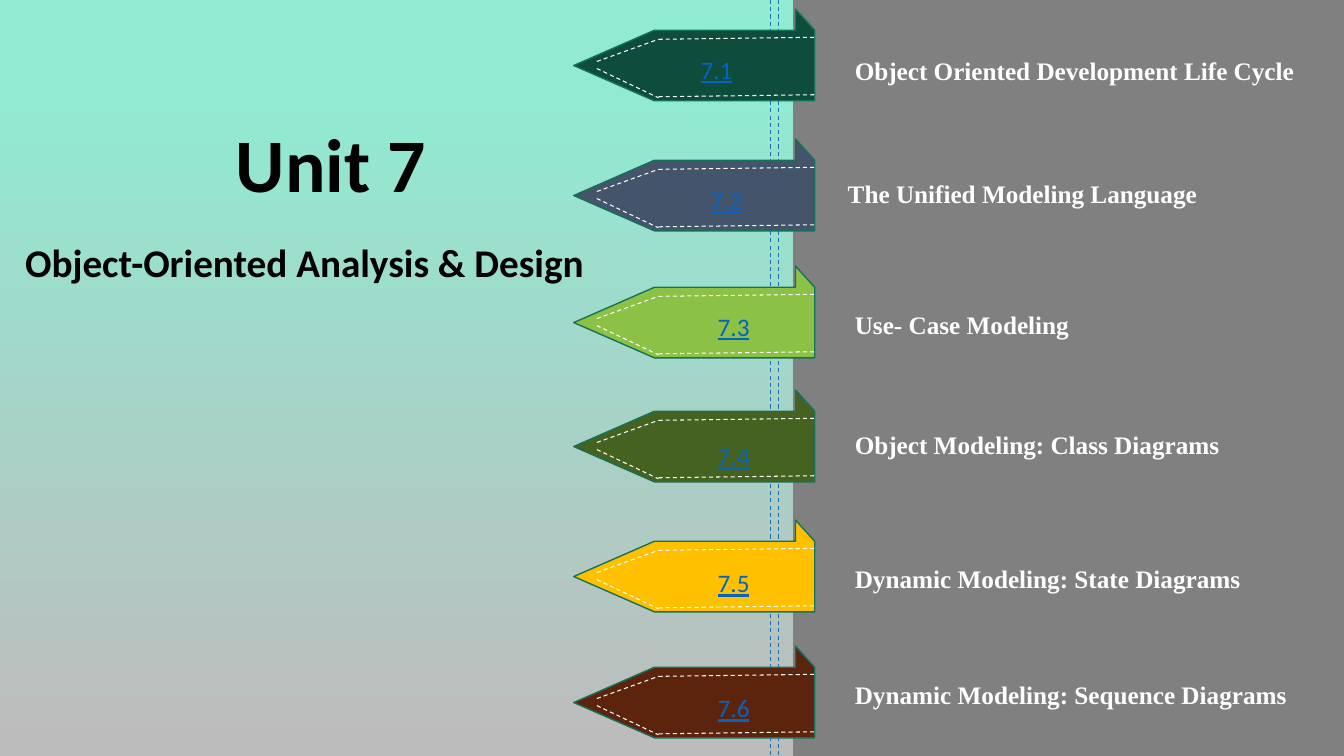
from pptx import Presentation
from pptx.dml.color import RGBColor
from pptx.enum.dml import MSO_LINE
from pptx.enum.shapes import MSO_CONNECTOR, MSO_SHAPE
from pptx.enum.text import MSO_AUTO_SIZE
from pptx.oxml.ns import qn
from pptx.util import Inches, Pt
from lxml.etree import SubElement

LEFT = 5.69
OUTLINE = [(2.2, 0), (2.39, 0.21), (2.39, 0.91), (0.8, 0.91),
           (0, 0.56), (0.8, 0.21), (2.2, 0.21)]
SEAMS = [(0.84, 0.3, 2.39, 0.28), (0.84, 0.87, 2.39, 0.85),
         (0.23, 0.52, 0.84, 0.3), (0.23, 0.59, 0.84, 0.88)]
TOPICS = [
    (0.09, "0E4D3C", "7.1", 6.85, 0.49,
     "Object Oriented Development Life Cycle", 8.38, 0.5, 4.77),
    (1.38, "44546A", "7.2", 6.95, 1.78,
     "The Unified Modeling Language", 8.31, 1.72, 4.77),
    (2.64, "8BC145", "7.3", 7.02, 3.04,
     "Use- Case Modeling", 8.38, 3.02, 3.57),
    (3.87, "466221", "7.4", 7.02, 4.32,
     "Object Modeling: Class Diagrams", 8.38, 4.21, 3.87),
    (5.16, "FFC000", "7.5", 7.02, 5.58,
     "Dynamic Modeling: State Diagrams", 8.38, 5.54, 4.36),
    (6.41, "5C240C", "7.6", 7.02, 6.82,
     "Dynamic Modeling: Sequence Diagrams", 8.38, 6.69, 4.56),
]


def color(code):
    return RGBColor.from_string(code)


def add_panel(slide):
    panel = slide.shapes.add_shape(
        MSO_SHAPE.RECTANGLE, 0, 0, Inches(7.87), Inches(7.5))
    panel.shadow.inherit = False
    panel.line.fill.background()
    panel.fill.gradient()
    panel.fill.gradient_angle = 270
    stops = [(0.11, "91EAD2"), (1, "BDBCBC")]
    for stop, (place, code) in zip(panel.fill.gradient_stops, stops):
        stop.position = place
        stop.color.rgb = color(code)


def add_dash(shapes, x1, y1, x2, y2, code):
    dash = shapes.add_connector(
        MSO_CONNECTOR.STRAIGHT, *map(Inches, (x1, y1, x2, y2)))
    dash.line.color.rgb = color(code)
    dash.line.width = Pt(0.75)
    dash.line.dash_style = MSO_LINE.DASH
    SubElement(dash.element.spPr, qn("a:effectLst"))


def add_ribbon(slide, top, code):
    shapes = slide.shapes.add_group_shape().shapes
    points = [(Inches(LEFT + x), Inches(top + y)) for x, y in OUTLINE]
    pen = shapes.build_freeform(*points[0])
    pen.add_line_segments(points[1:], close=True)
    ribbon = pen.convert_to_shape()
    ribbon.shadow.inherit = False
    ribbon.fill.solid()
    ribbon.fill.fore_color.rgb = color(code)
    ribbon.line.color.rgb = color("157259")
    ribbon.line.width = Pt(1)
    for x1, y1, x2, y2 in SEAMS:
        add_dash(shapes, LEFT + x1, top + y1, LEFT + x2, top + y2, "FFFFFF")


def add_box(slide, x, y, width, height):
    box = slide.shapes.add_textbox(*map(Inches, (x, y, width, height)))
    frame = box.text_frame
    frame.word_wrap = True
    frame.auto_size = MSO_AUTO_SIZE.SHAPE_TO_FIT_TEXT
    return frame


def set_text(para, text, size, face, code, bold=False, under=None):
    para.text = text
    font = para.font
    font.size = Pt(size)
    font.name = face
    font.bold = bold
    font.underline = under
    font.color.rgb = color(code)


def add_title(slide):
    frame = add_box(slide, 0.15, 1.11, 7.19, 1.85)
    unit = frame.paragraphs[0]
    set_text(unit, "Unit 7", 54, "Calibri", "000000", True)
    unit._p.get_or_add_pPr().set("marL", str(Inches(2.09)))
    topic = frame.add_paragraph()
    set_text(topic, "Object-Oriented Analysis & Design", 28,
             "Calibri", "000000", True)
    topic.space_before = Pt(22)


def main():
    deck = Presentation()
    deck.slide_width = Inches(13.33)
    deck.slide_height = Inches(7.5)
    slide = deck.slides.add_slide(deck.slide_layouts[6])
    slide.background.fill.solid()
    slide.background.fill.fore_color.rgb = color("808080")
    add_panel(slide)
    for x in (7.72, 7.64):
        add_dash(slide.shapes, x, 0, x, 7.5, "1D6FA9")
    for top, code, number, nx, ny, label, x, y, width in TOPICS:
        add_ribbon(slide, top, code)
        tag = add_box(slide, nx, ny, 0.66, 0.4)
        set_text(tag.paragraphs[0], number, 18, "Calibri", "0563C1", under=True)
        name = add_box(slide, x, y, width, 0.4)
        set_text(name.paragraphs[0], label, 18, "Times New Roman", "FFFFFF", True)
    add_title(slide)
    deck.save("out.pptx")


if __name__ == "__main__":
    main()
